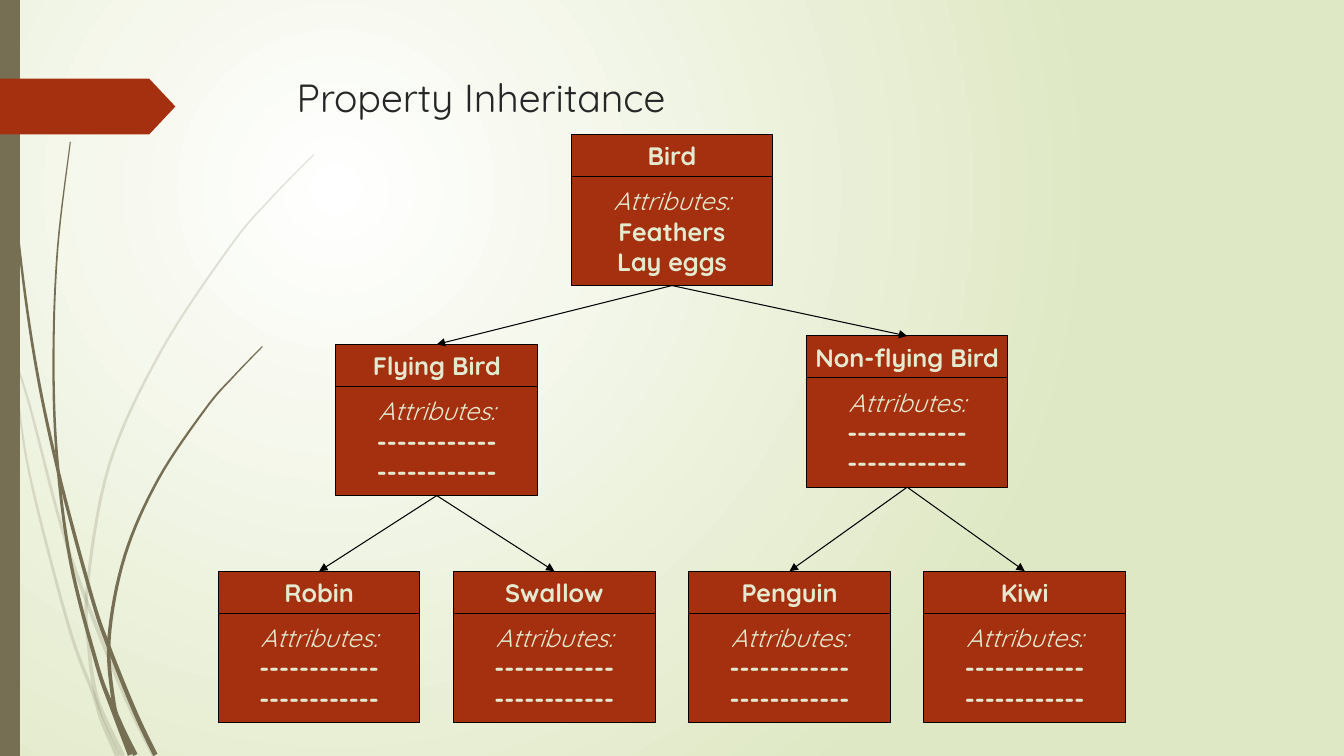
import math
from dataclasses import dataclass

from lxml import etree
from pptx import Presentation
from pptx.dml.color import RGBColor
from pptx.enum.dml import MSO_FILL
from pptx.enum.shapes import MSO_CONNECTOR, MSO_SHAPE
from pptx.enum.text import MSO_ANCHOR, MSO_AUTO_SIZE, PP_ALIGN
from pptx.oxml.ns import qn
from pptx.shapes.autoshape import Shape
from pptx.slide import Slide
from pptx.util import Emu, Pt

STRAIGHT = MSO_CONNECTOR.STRAIGHT
RECTANGLE, TAG = MSO_SHAPE.RECTANGLE, MSO_SHAPE.PENTAGON
TOP, MIDDLE = MSO_ANCHOR.TOP, MSO_ANCHOR.MIDDLE
LEFT, CENTER = PP_ALIGN.LEFT, PP_ALIGN.CENTER
NO_AUTOFIT = MSO_AUTO_SIZE.NONE
GRADIENT = MSO_FILL.GRADIENT

WHITE = RGBColor(0xFF, 0xFF, 0xFF)
BLACK = RGBColor(0x00, 0x00, 0x00)
SAGE = RGBColor(0xDF, 0xE8, 0xC4)
OLIVE = RGBColor(0x76, 0x6F, 0x54)
RUST = RGBColor(0xA5, 0x30, 0x10)
CREAM = RGBColor(0xE3, 0xEA, 0xCF)
INK = RGBColor(0x26, 0x26, 0x26)

FONT = "Quicksand"
PX = 9525
BOX_W, HEAD_H, BODY_H = 192, 40, 104
TOP_SIDE, BOTTOM_SIDE = 0, 2
STEPS = 8
DASHES = "-" * 12


@dataclass(frozen=True)
class Blade:
    points: tuple[tuple[int, int], ...]
    opacity: int


@dataclass(frozen=True)
class BirdClass:
    name: str
    left: int
    top: int
    parent: str = ""
    attributes: tuple[str, ...] = (DASHES, DASHES)


BLADES = (
    Blade(((0, 279), (12, 333), (29, 389), (58, 500), (83, 574),
           (120, 665), (147, 720)), 20),
    Blade(((11, 336), (15, 361), (28, 451), (65, 595), (89, 661),
           (97, 686), (112, 720)), 20),
    Blade(((299, 147), (257, 190), (219, 235), (153, 335), (104, 443),
           (83, 561), (85, 620), (91, 660), (100, 685), (117, 720)), 20),
    Blade(((3, 0), (4, 46), (7, 105), (17, 223), (33, 341), (55, 447),
           (87, 567), (104, 617), (129, 679), (148, 719)), 100),
    Blade(((67, 135), (55, 235), (51, 335), (54, 432), (67, 534),
           (92, 632), (106, 672), (124, 719)), 100),
    Blade(((250, 330), (222, 359), (196, 389), (151, 456), (119, 529),
           (104, 607), (108, 667), (115, 690), (129, 719)), 100),
)

BIRDS = (
    BirdClass("Bird", 544, 128, attributes=("Feathers", "Lay eggs")),
    BirdClass("Flying Bird", 320, 328, "Bird"),
    BirdClass("Non-flying Bird", 768, 320, "Bird"),
    BirdClass("Robin", 208, 544, "Flying Bird"),
    BirdClass("Swallow", 432, 544, "Flying Bird"),
    BirdClass("Penguin", 656, 544, "Non-flying Bird"),
    BirdClass("Kiwi", 880, 544, "Non-flying Bird"),
)


def px(n: float) -> Emu:
    return Emu(round(n * PX))


def paint_background(s: Slide) -> None:
    fill = s.background.fill
    fill.gradient()
    assert fill.type == GRADIENT
    for stop, color, position in zip(fill.gradient_stops, (WHITE, SAGE), (0, 1)):
        stop.color.rgb = color
        stop.position = position
    grad = s.element.find(".//" + qn("a:gradFill"))
    grad.remove(grad.find(qn("a:lin")))
    circle = etree.SubElement(grad, qn("a:path"), path="circle")
    etree.SubElement(circle, qn("a:fillToRect"),
                     l="50000", t="50000", r="100000", b="100000")


def paint(sp: Shape, color: RGBColor) -> None:
    sp.shadow.inherit = False
    sp.fill.solid()
    sp.fill.fore_color.rgb = color
    sp.line.fill.background()


def add_block(s: Slide, kind: MSO_SHAPE, left: int, top: int,
              width: int, height: int, color: RGBColor) -> Shape:
    sp = s.shapes.add_shape(kind, px(left), px(top), px(width), px(height))
    paint(sp, color)
    return sp


def smooth_curve(points: tuple[tuple[int, int], ...]) -> list[tuple[float, float]]:
    padded = (points[0], *points, points[-1])
    curve = []
    for a, b, c, d in zip(padded, padded[1:], padded[2:], padded[3:]):
        for step in range(STEPS):
            t = step / STEPS
            x, y = (
                (2 * q + (r - p) * t + (2 * p - 5 * q + 4 * r - u) * t**2
                 + (3 * q - p - 3 * r + u) * t**3) / 2
                for p, q, r, u in zip(a, b, c, d))
            curve.append((x, y))
    return curve + [points[-1]]


def add_blade(s: Slide, blade: Blade) -> None:
    curve = smooth_curve(blade.points)
    last = len(curve) - 1
    left_edge, right_edge = [], []
    for i, (x, y) in enumerate(curve):
        x0, y0 = curve[max(i - 1, 0)]
        x1, y1 = curve[min(i + 1, last)]
        half = (0.5 + 1.8 * i / last) / math.hypot(x1 - x0, y1 - y0)
        dx, dy = (y1 - y0) * half, (x0 - x1) * half
        left_edge.append((px(x + dx), px(y + dy)))
        right_edge.append((px(x - dx), px(y - dy)))
    outline = left_edge + right_edge[::-1]
    builder = s.shapes.build_freeform(*outline[0])
    builder.add_line_segments(outline[1:], close=True)
    sp = builder.convert_to_shape()
    paint(sp, OLIVE)
    if blade.opacity < 100:
        color = sp.element.spPr.find(qn("a:solidFill"))[0]
        etree.SubElement(color, qn("a:alpha"), val=str(blade.opacity * 1000))


def add_title(s: Slide, text: str) -> None:
    sp = s.shapes.title
    sp.left, sp.top, sp.width, sp.height = px(273), px(65), px(936), px(134)
    tf = sp.text_frame
    tf.text = text
    tf.word_wrap = True
    tf.auto_size = NO_AUTOFIT
    tf.vertical_anchor = TOP
    p = tf.paragraphs[0]
    p.alignment = LEFT
    font = p.runs[0].font
    font.name, font.size, font.color.rgb = FONT, Pt(28), INK


def add_cell(s: Slide, left: int, top: int, height: int,
             lines: tuple[str, ...]) -> Shape:
    sp = add_block(s, RECTANGLE, left, top, BOX_W, height, RUST)
    sp.line.color.rgb = BLACK
    sp.line.width = Pt(0.75)
    tf = sp.text_frame
    tf.text = "\n".join(lines)
    tf.word_wrap = False
    tf.vertical_anchor = MIDDLE
    for p in tf.paragraphs:
        p.alignment = CENTER
        font = p.runs[0].font
        font.name, font.size, font.color.rgb = FONT, Pt(18), CREAM
        font.italic = p.text == "Attributes:"
        font.bold = not font.italic
    return sp


def add_arrow(s: Slide, parent: Shape, child: Shape) -> None:
    line = s.shapes.add_connector(STRAIGHT, 0, 0, 0, 0)
    line.begin_connect(parent, BOTTOM_SIDE)
    line.end_connect(child, TOP_SIDE)
    line.line.color.rgb = BLACK
    line.line.width = Pt(0.75)
    etree.SubElement(line.line._get_or_add_ln(), qn("a:tailEnd"), type="triangle")
    etree.SubElement(line.element.spPr, qn("a:effectLst"))


def main() -> None:
    prs = Presentation()
    prs.slide_width, prs.slide_height = px(1280), px(720)
    s = prs.slides.add_slide(prs.slide_layouts[5])
    paint_background(s)
    for blade in BLADES:
        add_blade(s, blade)
    add_block(s, RECTANGLE, 0, 0, 19, 720, OLIVE)
    tag = add_block(s, TAG, 0, 75, 167, 53, RUST)
    tag.adjustments[0] = 0.47
    add_title(s, "Property Inheritance")

    heads, bodies = {}, {}
    for bird in BIRDS:
        heads[bird.name] = add_cell(s, bird.left, bird.top, HEAD_H, (bird.name,))
        bodies[bird.name] = add_cell(s, bird.left, bird.top + HEAD_H, BODY_H,
                                     ("Attributes:", *bird.attributes))
    for bird in BIRDS:
        if bird.parent:
            add_arrow(s, bodies[bird.parent], heads[bird.name])
    prs.save("out.pptx")


if __name__ == "__main__":
    main()
